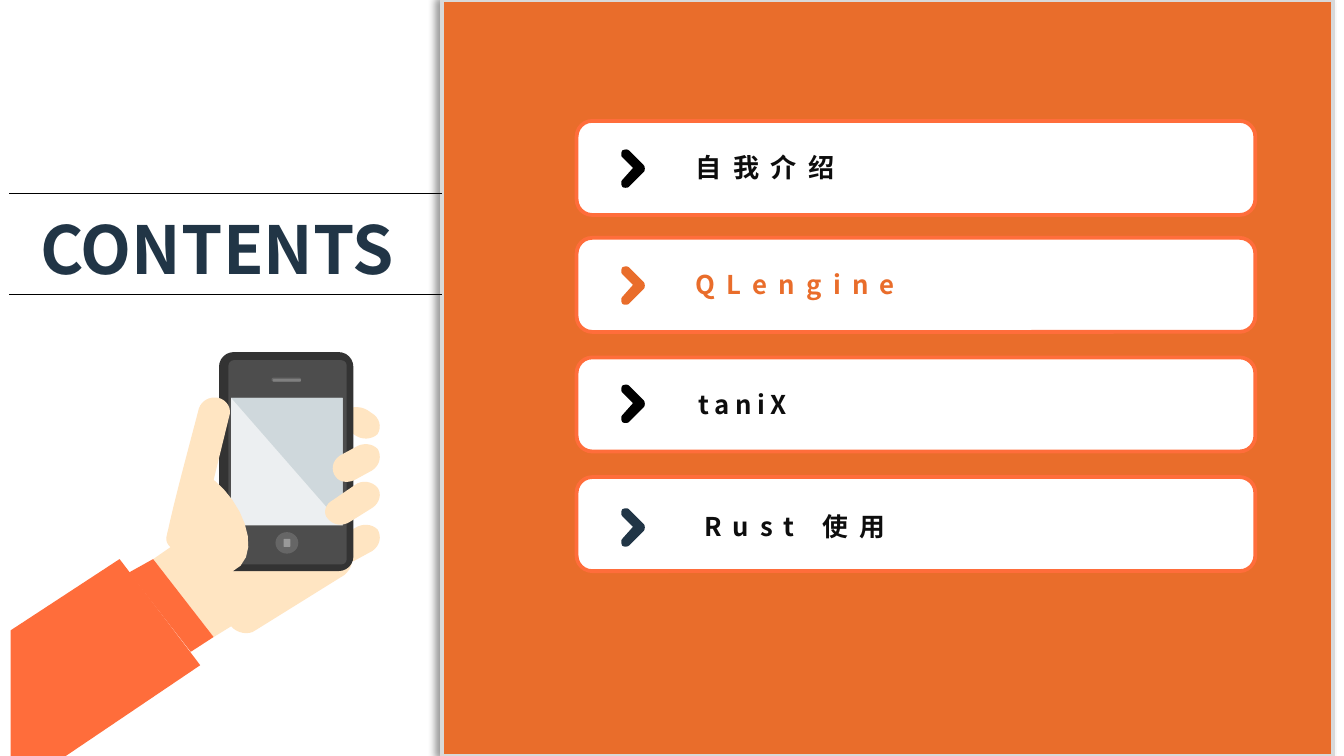
from dataclasses import dataclass
from typing import NamedTuple

from lxml.etree import SubElement
from pptx import Presentation
from pptx.dml.color import RGBColor
from pptx.enum.shapes import MSO_CONNECTOR, MSO_SHAPE
from pptx.enum.text import MSO_AUTO_SIZE
from pptx.oxml.ns import qn
from pptx.util import Inches, Pt

# The slide is a 16:9 grid of 1000 columns; every length below is in cells.
COLUMNS = 1000
ROWS = COLUMNS * 9 / 16
CELL = Inches(10) // COLUMNS


@dataclass(frozen=True)
class Theme:
    font: str = "Noto Sans CJK SC"
    orange: str = "E96D2B"
    coral: str = "FF6D3B"
    navy: str = "213546"
    ink: str = "0D0D0D"
    black: str = "000000"
    white: str = "FFFFFF"
    panel_edge: str = "D9D9D9"
    skin: str = "FFE5C2"
    case: str = "333333"
    face: str = "4D4D4D"
    button: str = "666666"
    speaker: str = "808080"
    button_mark: str = "999999"
    screen: str = "ECEFF1"
    glare: str = "CFD8DC"
    title_size: float = 35.5
    heading_size: float = 14
    entry_size: float = 13.8
    edge_width: float = 2
    rule_width: float = 0.75


THEME = Theme()


class Box(NamedTuple):
    left: float
    top: float
    width: float
    height: float


class Entry(NamedTuple):
    text: str
    bar_top: float
    icon_top: float
    icon_color: str
    text_box: Box
    color: str = THEME.ink
    size: float = THEME.entry_size
    spacing: float = 6
    line_spacing: float = 1
    wrap: bool = False


ENTRIES = [
    Entry("自我介绍", 90, 104, THEME.black, Box(508, 110, 132, 31),
          size=THEME.heading_size, line_spacing=0.9),
    Entry("QLengine", 177, 191, THEME.orange, Box(508, 195, 174, 33), color=THEME.orange),
    Entry("taniX", 266, 279, THEME.black, Box(510, 284, 93, 33), spacing=3),
    Entry("Rust 使用", 355, 371, THEME.navy, Box(514, 375, 268, 33), wrap=True),
]

# Outlines: a pair is a corner, six numbers are a Bezier curve (two handles and an end).
FINGER = [(250, 415), (253, 419, 260, 420, 266, 416), (277, 410),
          (283, 406, 284, 399, 281, 394), (277, 390, 270, 389, 264, 393), (253, 399),
          (247, 403, 246, 410, 250, 415)]
MIDDLE_FINGER = [(244, 386), (248, 391, 255, 392, 261, 388), (277, 378),
                 (283, 374, 284, 367, 281, 363), (277, 358, 269, 357, 264, 361), (248, 372),
                 (242, 375, 240, 382, 244, 386)]
INDEX_FINGER = [(281, 323), (277, 327, 269, 328, 263, 323), (260, 322),
                (255, 318, 252, 311, 256, 307), (259, 302, 268, 302, 273, 305), (276, 307),
                (283, 311, 284, 318, 281, 323)]
PALM = [(259, 411), (214, 351), (210, 346, 201, 345, 196, 349), (130, 390),
        (124, 394, 122, 401, 127, 407), (114, 416), (159, 474), (172, 466),
        (176, 471, 185, 473, 190, 469), (256, 428), (262, 423, 264, 416, 259, 411)]
THUMB = [(159, 357), (180, 374, 193, 406, 179, 421), (164, 437, 135, 416, 127, 407),
         (125, 406, 123, 402, 124, 399), (131, 367, 140, 335, 148, 304),
         (150, 298, 156, 295, 162, 296), (168, 297, 172, 303, 171, 308)]
SLEEVE = [(89, 416), (8, 469), (8, ROWS), (49, ROWS), (149, 495)]
CUFF = [(142, 485), (159, 474), (114, 416), (96, 426)]
GLARE = [(255, 296), (172, 296), (255, 391)]
CHEVRON = [(20, 8), (19, 7, 17, 7, 15, 8), (14, 10, 14, 12, 15, 13), (23, 21), (15, 30),
           (14, 31, 14, 33, 15, 35), (16, 36, 19, 36, 20, 35), (31, 24),
           (32, 23, 32, 20, 31, 19)]


def paint(shape, fill: str, edge: str | None = None) -> None:
    shape.shadow.inherit = False
    shape.fill.solid()
    shape.fill.fore_color.rgb = RGBColor.from_string(fill)
    if edge is None:
        shape.line.fill.background()
    else:
        shape.line.color.rgb = RGBColor.from_string(edge)
        shape.line.width = Pt(THEME.edge_width)


def add_preset(shapes, kind: MSO_SHAPE, box: Box, fill: str,
               edge: str | None = None, radius: float | None = None):
    shape = shapes.add_shape(kind, *(round(length * CELL) for length in box))
    if radius is not None:
        shape.adjustments[0] = radius / min(box.width, box.height)
    paint(shape, fill, edge)
    return shape


def flatten(outline: list[tuple], steps: int = 8) -> list[tuple[float, float]]:
    """Turn the curves of an outline into short straight pieces."""
    points = [outline[0]]
    for part in outline[1:]:
        if len(part) == 2:
            points.append(part)
            continue
        nodes = [points[-1], part[:2], part[2:4], part[4:]]
        for step in range(1, steps + 1):
            t = step / steps
            weights = ((1 - t) ** 3, 3 * t * (1 - t) ** 2, 3 * t * t * (1 - t), t ** 3)
            points.append(tuple(sum(w * node[axis] for w, node in zip(weights, nodes))
                                for axis in (0, 1)))
    return points


def add_outline(shapes, outline: list[tuple], fill: str, left: float = 0, top: float = 0) -> None:
    points = [((x + left) * CELL, (y + top) * CELL) for x, y in flatten(outline)]
    builder = shapes.build_freeform(*points[0])
    builder.add_line_segments(points[1:], close=True)
    paint(builder.convert_to_shape(), fill)


def add_text(shapes, text: str, box: Box, size: float, color: str, spacing: float = 0,
             line_spacing: float = 1, wrap: bool = True) -> None:
    frame = shapes.add_textbox(*(round(length * CELL) for length in box)).text_frame
    frame.word_wrap = wrap
    frame.auto_size = MSO_AUTO_SIZE.SHAPE_TO_FIT_TEXT
    paragraph = frame.paragraphs[0]
    paragraph.text = text
    paragraph.line_spacing = line_spacing
    font = paragraph.font
    font.name, font.size, font.bold = THEME.font, Pt(size), True
    font.color.rgb = RGBColor.from_string(color)
    properties = paragraph._p.pPr.get_or_add_defRPr()
    properties.set("spc", str(round(spacing * 100)))
    SubElement(properties, qn("a:ea"), typeface=THEME.font)


def add_panel(shapes) -> None:
    panel = add_preset(shapes, MSO_SHAPE.RECTANGLE, Box(329, 0, 663, ROWS),
                       THEME.orange, THEME.panel_edge)
    effects = panel._element.spPr.find(qn("a:effectLst"))
    shadow = SubElement(effects, qn("a:outerShdw"), blurRad=str(Pt(4)), dist=str(Pt(3)),
                        dir=str(180 * 60000), rotWithShape="0")
    color = SubElement(shadow, qn("a:srgbClr"), val=THEME.black)
    SubElement(color, qn("a:alpha"), val="40000")


def add_hand_with_phone(shapes) -> None:
    rounded = MSO_SHAPE.ROUNDED_RECTANGLE
    add_outline(shapes, FINGER, THEME.skin)
    add_outline(shapes, SLEEVE, THEME.coral)
    add_outline(shapes, PALM, THEME.skin)
    add_outline(shapes, INDEX_FINGER, THEME.skin)
    add_preset(shapes, rounded, Box(163, 262, 100, 163), THEME.case, radius=11)
    add_preset(shapes, rounded, Box(170, 268, 88, 152), THEME.face, radius=4)
    add_preset(shapes, MSO_SHAPE.RECTANGLE, Box(172, 296, 83, 95), THEME.screen)
    add_outline(shapes, GLARE, THEME.glare)
    add_preset(shapes, rounded, Box(202, 281, 22, 3), THEME.button, radius=1.5)
    add_preset(shapes, rounded, Box(203, 282, 21, 2), THEME.speaker, radius=1)
    add_preset(shapes, MSO_SHAPE.OVAL, Box(205, 396, 17, 16), THEME.button)
    add_preset(shapes, rounded, Box(211, 401, 5, 6), THEME.button_mark, radius=0.5)
    add_outline(shapes, THUMB, THEME.skin)
    add_outline(shapes, FINGER, THEME.skin, top=-60)
    add_outline(shapes, MIDDLE_FINGER, THEME.skin)
    add_outline(shapes, CUFF, THEME.coral)


def add_rule(shapes, row: float) -> None:
    rule = shapes.add_connector(MSO_CONNECTOR.STRAIGHT, 7 * CELL, row * CELL,
                                329 * CELL, row * CELL)
    rule.line.color.rgb = RGBColor.from_string(THEME.black)
    rule.line.width = Pt(THEME.rule_width)
    SubElement(rule._element.spPr, qn("a:effectLst"))


def add_entry(shapes, entry: Entry) -> None:
    add_preset(shapes, MSO_SHAPE.ROUNDED_RECTANGLE, Box(429, entry.bar_top, 505, 70),
               THEME.white, THEME.coral, radius=11.67)
    icon = shapes.add_group_shape().shapes
    add_preset(icon, MSO_SHAPE.OVAL, Box(448, entry.icon_top, 43, 43), THEME.white)
    add_outline(icon, CHEVRON, entry.icon_color, left=448, top=entry.icon_top)
    add_text(shapes, entry.text, entry.text_box, entry.size, entry.color,
             entry.spacing, entry.line_spacing, entry.wrap)


def main() -> None:
    presentation = Presentation()
    presentation.slide_width = COLUMNS * CELL
    presentation.slide_height = round(ROWS * CELL)
    shapes = presentation.slides.add_slide(presentation.slide_layouts[6]).shapes
    add_panel(shapes)
    add_hand_with_phone(shapes.add_group_shape().shapes)
    add_text(shapes, "CONTENTS", Box(20, 150, 438, 70), THEME.title_size, THEME.navy)
    for row in (219, 144):
        add_rule(shapes, row)
    for entry in ENTRIES:
        add_entry(shapes, entry)
    presentation.save("out.pptx")


if __name__ == "__main__":
    main()
